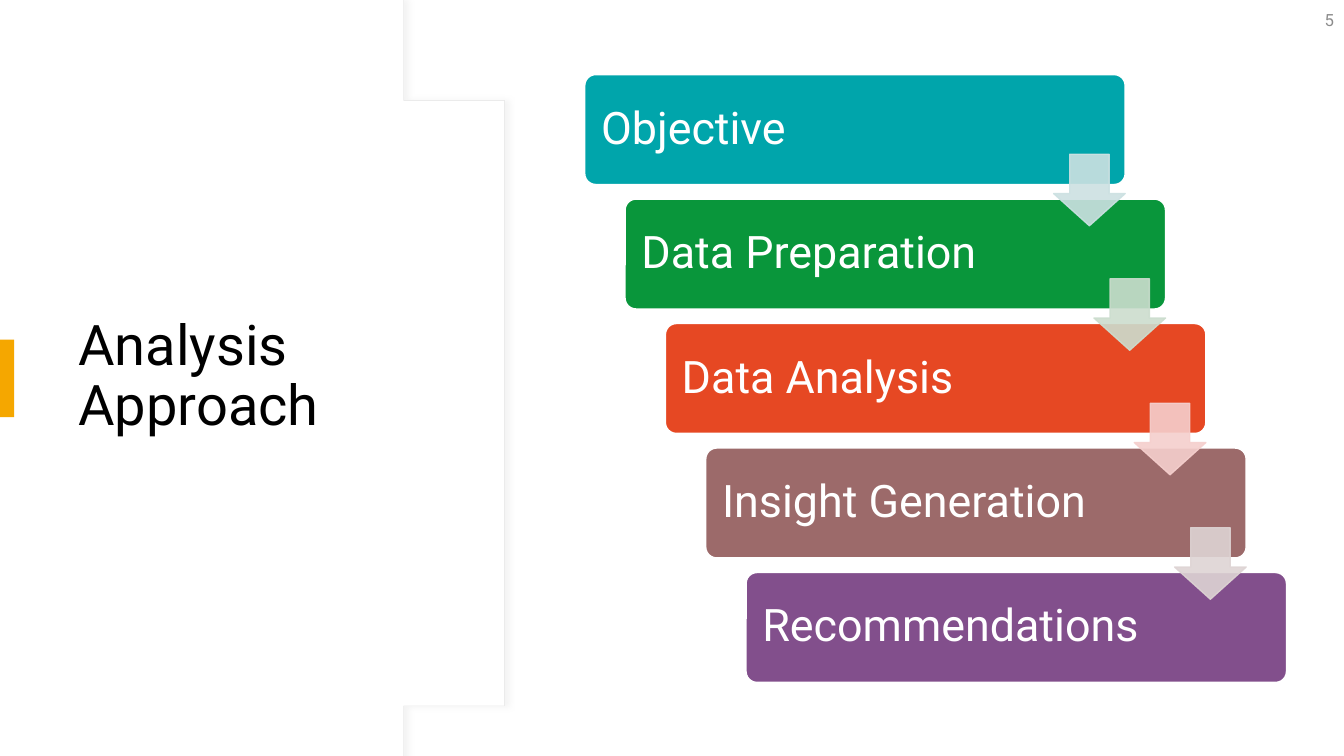
from lxml import etree
from pptx import Presentation, util as u
from pptx.dml.color import RGBColor
from pptx.enum import shapes, text
from pptx.oxml import parse_xml
from pptx.oxml.ns import qn

DRAWING = "http://schemas.openxmlformats.org/drawingml/2006/main"
STEPS = [
    ("Objective", "00A5AB", "CCE1E2"),
    ("Data Preparation", "09963B", "CCDDCE"),
    ("Data Analysis", "E64823", "F5CFCD"),
    ("Insight Generation", "9C6A6A", "DED4D4"),
    ("Recommendations", "824F8C", None),
]


def colour(value):
    return RGBColor.from_string(value)


def paint(shape, fill, line=None, width=1):
    shape.shadow.inherit = False
    shape.fill.solid()
    shape.fill.fore_color.rgb = colour(fill)
    if line:
        shape.line.color.rgb = colour(line)
        shape.line.width = u.Pt(width)
    else:
        shape.line.fill.background()


def add_shape(page, kind, left, top, width, height):
    return page.shapes.add_shape(kind, *map(u.Inches, (left, top, width, height)))


def write(box, words, size, ink, align=text.PP_ALIGN.LEFT, spacing=1.0):
    frame = box.text_frame
    frame.word_wrap = True
    frame.vertical_anchor = text.MSO_ANCHOR.MIDDLE
    para = frame.paragraphs[0]
    para.alignment = align
    para.line_spacing = spacing
    span = para.add_run()
    span.text = words
    span.font.name = "Roboto"
    span.font.size = u.Pt(size)
    span.font.color.rgb = colour(ink)


def add_text(page, left, top, width, height, words, size, ink, **style):
    box = page.shapes.add_textbox(*map(u.Inches, (left, top, width, height)))
    write(box, words, size, ink, **style)


def bezier(start, first, second, end, count=24):
    for step in range(1, count + 1):
        t = step / count
        weights = ((1 - t) ** 3, 3 * t * (1 - t) ** 2, 3 * t * t * (1 - t), t ** 3)
        yield tuple(sum(w * point[axis] for w, point in zip(weights, (start, first, second, end)))
                    for axis in (0, 1))


def add_curved_panel(page, right, height):
    middle = height / 2
    shoulder = (right - 1.26, 0.08)
    upper = list(bezier(shoulder, (right - 0.48, 1.02), (right, 2.32), (right, middle)))
    lower = [(x, height - y) for x, y in reversed(upper[:-1])]
    outline = [(3.94, 0), shoulder, *upper, *lower,
               (shoulder[0], height - shoulder[1]), (3.94, height), (0, height)]
    builder = page.shapes.build_freeform(0, 0, scale=u.Inches(1))
    builder.add_line_segments(outline, close=True)
    return builder.convert_to_shape()


def add_soft_shadow(shape):
    effects = shape._element.spPr.find(qn("a:effectLst"))
    effects.append(parse_xml(
        f'<a:outerShdw xmlns:a="{DRAWING}" blurRad="{u.Pt(4)}" dist="{u.Pt(3)}" dir="0" '
        'algn="l" rotWithShape="0"><a:srgbClr val="D9D9D9"><a:alpha val="30000"/>'
        '</a:srgbClr></a:outerShdw>'))


def add_title_panel(page, right, height):
    edge = add_curved_panel(page, right, height)
    paint(edge, "FFFFFF", "E9E9E9", 0.75)
    add_soft_shadow(edge)
    paint(add_curved_panel(page, right - 0.01, height), "FFFFFF")
    add_text(page, 0.68, 1.27, 3.94, 4.95, "Analysis Approach", 40, "000000", spacing=0.9)
    marker = add_shape(page, shapes.MSO_SHAPE.RECTANGLE, 0, 3.37, 0.14, 0.77)
    paint(marker, "F5A700")


def add_step(page, left, top, label, fill):
    box = add_shape(page, shapes.MSO_SHAPE.ROUNDED_RECTANGLE, left, top, 5.36, 1.09)
    box.adjustments[0] = 0.1
    paint(box, fill, "FFFFFF")
    frame = box.text_frame
    frame.margin_left = frame.margin_right = u.Inches(0.13)
    frame.margin_top = frame.margin_bottom = u.Inches(0.13)
    write(box, label, 32, "FFFFFF", spacing=0.9)


def add_arrow(page, left, top, tint):
    arrow = add_shape(page, shapes.MSO_SHAPE.DOWN_ARROW, left, top, 0.71, 0.71)
    arrow.adjustments[0] = 0.55
    arrow.adjustments[1] = 0.45
    paint(arrow, tint, tint)
    for tone in arrow._element.spPr.iter(qn("a:srgbClr")):
        etree.SubElement(tone, qn("a:alpha")).set("val", "90000")


def add_staircase(page, left, top, across=0.4, down=1.235):
    places = [(left + i * across, top + i * down) for i in range(len(STEPS))]
    for (x, y), (label, fill, tint) in zip(places, STEPS):
        add_step(page, x, y, label, fill)
    for (x, y), (label, fill, tint) in zip(places, STEPS):
        if tint:
            add_arrow(page, x + 4.65, y + 0.79, tint)


def main():
    deck = Presentation()
    deck.slide_width, deck.slide_height = u.Inches(13.33), u.Inches(7.5)
    page = deck.slides.add_slide(deck.slide_layouts[6])
    add_title_panel(page, 5.27, 7.5)
    add_staircase(page, 5.8, 0.74)
    add_text(page, 10.33, 0, 3, 0.4, "5", 12, "8C8C8C", align=text.PP_ALIGN.RIGHT)
    deck.save("out.pptx")


if __name__ == "__main__":
    main()
